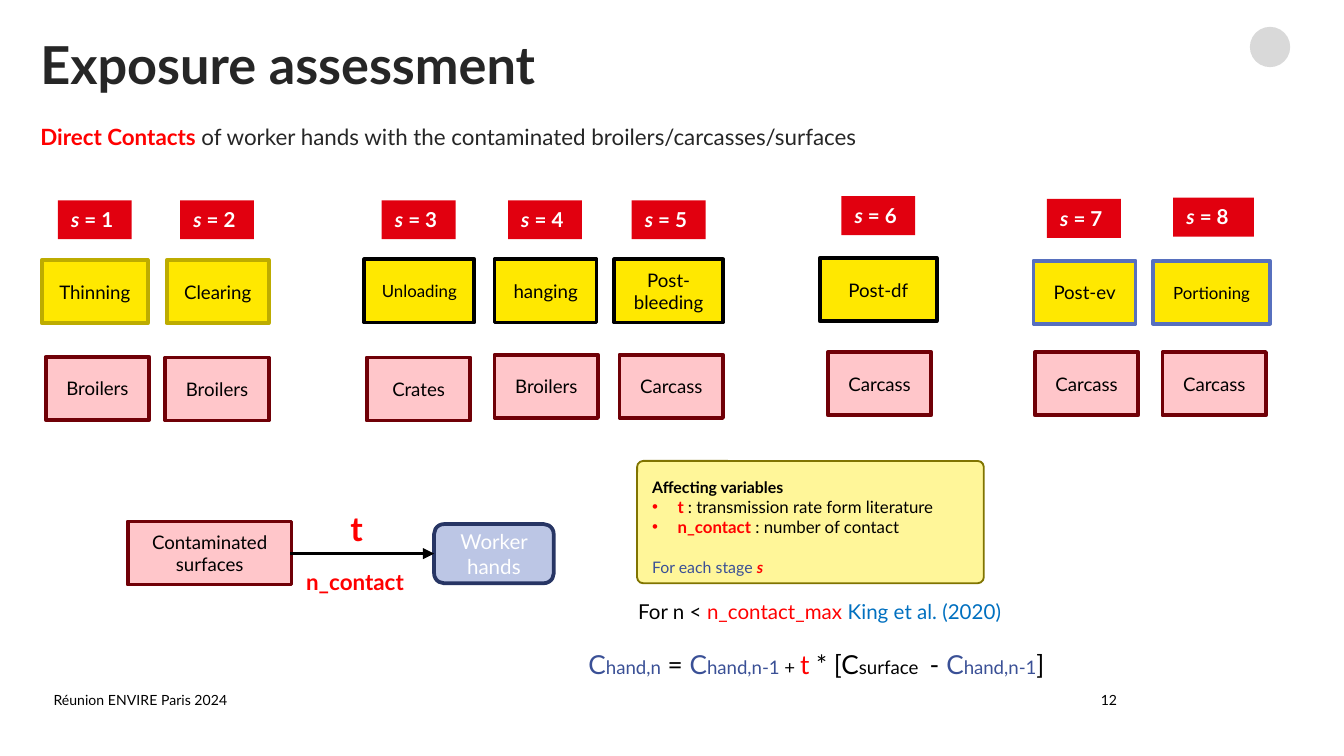
from dataclasses import dataclass
from typing import NamedTuple, Optional

from lxml import etree
from pptx import Presentation
from pptx import util as u
from pptx.dml.color import RGBColor
from pptx.enum import shapes, text
from pptx.oxml.ns import qn

BLACK = RGBColor(0x00, 0x00, 0x00)
WHITE = RGBColor(0xFF, 0xFF, 0xFF)
DARK = RGBColor(0x26, 0x26, 0x26)
GREY = RGBColor(0xD9, 0xD9, 0xD9)
RED = RGBColor(0xFF, 0x00, 0x00)
TAG = RGBColor(0xE1, 0x00, 0x0F)
PINK = RGBColor(0xFF, 0xC6, 0xCA)
MAROON = RGBColor(0x70, 0x00, 0x07)
YELLOW = RGBColor(0xFF, 0xE8, 0x00)
GOLD = RGBColor(0xBD, 0xAC, 0x00)
CREAM = RGBColor(0xFF, 0xF6, 0x99)
OLIVE = RGBColor(0x80, 0x74, 0x00)
BLUE = RGBColor(0x57, 0x70, 0xBE)
INK = RGBColor(0x3A, 0x50, 0x96)
CITE = RGBColor(0x00, 0x70, 0xC0)
PALE = RGBColor(0xBC, 0xC6, 0xE5)
NAVY = RGBColor(0x27, 0x35, 0x64)

FONT = "Lato"
CELL = u.Inches(0.1)
COLS, ROWS = 100, 56.25
LEFT, CENTER, RIGHT = text.PP_ALIGN.LEFT, text.PP_ALIGN.CENTER, text.PP_ALIGN.RIGHT
TOP, MIDDLE = text.MSO_ANCHOR.TOP, text.MSO_ANCHOR.MIDDLE
RECT = shapes.MSO_SHAPE.RECTANGLE
ROUND = shapes.MSO_SHAPE.ROUNDED_RECTANGLE


class Area(NamedTuple):
    col: float
    row: float
    wide: float
    high: float


class Run(NamedTuple):
    text: str
    size: float
    color: RGBColor = BLACK
    bold: bool = False
    slant: bool = False


@dataclass
class Para:
    runs: list[Run]
    align: text.PP_ALIGN = LEFT
    line: Optional[float] = None
    after: float = 0
    dot: bool = False


@dataclass
class Stage:
    tag: tuple[float, float]
    act: str
    box: tuple[float, float, float]
    edge: RGBColor
    kind: str
    base: tuple[float, float]
    size: float = 10
    wide: float = 5.5


STAGES = [
    Stage((4.3, 14.9), "Thinning", (3.1, 19.35, 7.9), GOLD, "Broilers", (3.4, 26.55)),
    Stage((13.4, 14.9), "Clearing", (12.4, 19.35, 7.6), GOLD, "Broilers", (12.3, 26.6)),
    Stage((28.4, 14.9), "Unloading", (27.1, 19.3, 8.2), BLACK, "Crates", (27.3, 26.6), 9),
    Stage((37.8, 14.9), "hanging", (36.8, 19.3, 7.6), BLACK, "Broilers", (36.8, 26.4)),
    Stage((47, 14.9), "Post-bleeding", (45.7, 19.3, 8.1), BLACK, "Carcass", (46.1, 26.4)),
    Stage((62.6, 14.6), "Post-df", (61, 19.2, 8.7), BLACK, "Carcass", (61.6, 26.2)),
    Stage((77.9, 14.8), "Post-ev", (76.9, 19.4, 7.6), BLUE, "Carcass", (77, 26.2)),
    Stage((87.3, 14.7), "Portioning", (85.8, 19.4, 8.7), BLUE, "Carcass", (86.5, 26.2), 9, 6),
]


def span(n: float) -> int:
    return round(n * CELL)


def write(frame, paras: list[Para], anchor=TOP, wrap: bool = True) -> None:
    frame.word_wrap = wrap
    frame.vertical_anchor = anchor
    for i, para in enumerate(paras):
        p = frame.add_paragraph() if i else frame.paragraphs[0]
        p.alignment = para.align
        p.space_before = u.Pt(0)
        p.space_after = u.Pt(para.after)
        if para.line:
            p.line_spacing = para.line
        if para.dot:
            props = p._p.get_or_add_pPr()
            props.set("marL", str(u.Inches(0.19)))
            props.set("indent", str(-u.Inches(0.19)))
            font = etree.SubElement(props, qn("a:buFont"))
            font.set("typeface", "Arial")
            etree.SubElement(props, qn("a:buChar")).set("char", "•")
        for part in para.runs:
            r = p.add_run()
            r.text = part.text
            r.font.name = FONT
            r.font.size = u.Pt(part.size)
            r.font.color.rgb = part.color
            r.font.bold = part.bold
            r.font.italic = part.slant


def label(slide, area: Area, paras: list[Para], wrap: bool = True):
    box = slide.shapes.add_textbox(*map(span, area))
    write(box.text_frame, paras, wrap=wrap)
    return box


def block(slide, area: Area, fill: RGBColor, paras: list[Para], edge: Optional[RGBColor] = None,
          form=RECT, weight: float = 2, anchor=MIDDLE):
    box = slide.shapes.add_shape(form, *map(span, area))
    box.shadow.inherit = False
    box.fill.solid()
    box.fill.fore_color.rgb = fill
    if edge is None:
        box.line.fill.background()
    else:
        box.line.color.rgb = edge
        box.line.width = u.Pt(weight)
    write(box.text_frame, paras, anchor)
    return box


def mid(words: str, size: float = 10, color: RGBColor = BLACK) -> list[Para]:
    return [Para([Run(words, size, color)], CENTER)]


def flush(frame) -> None:
    frame.margin_left = frame.margin_right = frame.margin_top = frame.margin_bottom = 0


def head(slide) -> None:
    title = slide.shapes.title
    title.left, title.top, title.width, title.height = map(span, Area(3, 2.9, 89.2, 7))
    write(title.text_frame, [Para([Run("Exposure assessment", 28, DARK, True)], line=0.9)])
    flush(title.text_frame)
    sub = label(slide, Area(3, 9.4, 89.2, 7), [Para([
        Run("Direct Contacts ", 12, RED, True),
        Run("of worker hands with the contaminated broilers/carcasses/surfaces", 12, DARK)], line=0.9)])
    flush(sub.text_frame)
    block(slide, Area(93, 2, 3, 3), GREY, [], form=shapes.MSO_SHAPE.OVAL)


def draw(slide, num: int, stage: Stage) -> None:
    block(slide, Area(*stage.tag, stage.wide, 2.9), TAG, [Para([
        Run("s", 11, WHITE, True, True), Run(f" = {num}", 11, WHITE, True)])], anchor=TOP)
    block(slide, Area(*stage.box, 4.7), YELLOW, mid(stage.act, stage.size), stage.edge)
    block(slide, Area(*stage.base, 7.7, 4.7), PINK, mid(stage.kind), MAROON)


def flow(slide) -> None:
    block(slide, Area(32.3, 39, 8.9, 4.4), PALE, mid("Worker hands", 11, WHITE), NAVY, ROUND)
    block(slide, Area(9.5, 38.8, 12.2, 4.7), PINK, mid("Contaminated surfaces"), MAROON)
    arrow = slide.shapes.add_connector(shapes.MSO_CONNECTOR.STRAIGHT,
                                       *map(span, (21.6, 41.2, 32.3, 41.2)))
    arrow.line.color.rgb = BLACK
    arrow.line.width = u.Pt(1.5)
    etree.SubElement(arrow.line._get_or_add_ln(), qn("a:tailEnd")).set("type", "triangle")
    etree.SubElement(arrow._element.spPr, qn("a:effectLst"))
    label(slide, Area(25.1, 37.3, 6.6, 4), [Para([Run("t", 18, RED, True)])])
    label(slide, Area(21.8, 41.8, 10.3, 3), [Para([Run("n_contact", 12, RED, True)])], False)


def model(slide) -> None:
    note = block(slide, Area(47.4, 34.3, 25.8, 9.1), CREAM, [
        Para([Run("Affecting variables", 8.5, bold=True)], line=1.5),
        Para([Run("t ", 9, RED, True), Run(": transmission rate form literature", 9)], dot=True),
        Para([Run("n_contact", 9, RED, True), Run(" : number of contact", 9)], after=10.8, dot=True),
        Para([Run("For each stage ", 8.5, INK), Run("s", 8.5, RED, True, True)]),
    ], OLIVE, ROUND, 1)
    note.adjustments[0] = 0.05
    label(slide, Area(41.3, 44.1, 39.4, 8.9), [
        Para([Run("For n < ", 11), Run("n_contact_max ", 11, RED),
              Run("King et al. (2020)", 11, CITE)], CENTER, after=13.2),
        Para([Run("C", 14, INK), Run("hand,n", 10, INK), Run(" = ", 14),
              Run("C", 14, INK), Run("hand,n-1", 10, INK), Run(" + ", 10),
              Run("t", 14, RED), Run(" * [C", 14), Run("surface ", 10), Run(" - ", 14),
              Run("C", 14, INK), Run("hand,n-1", 10, INK), Run("] ", 14)], CENTER),
    ])


def foot(slide) -> None:
    label(slide, Area(3, 51, 33.8, 2.3), [Para([Run("Réunion ENVIRE Paris 2024", 7.5)])])
    label(slide, Area(69.3, 51, 14.8, 2.3), [Para([Run("12", 7.5)], RIGHT)])


def main() -> None:
    deck = Presentation()
    deck.slide_width, deck.slide_height = span(COLS), span(ROWS)
    slide = deck.slides.add_slide(deck.slide_layouts[5])
    head(slide)
    for num, stage in enumerate(STAGES, 1):
        draw(slide, num, stage)
    foot(slide)
    model(slide)
    flow(slide)
    deck.save("out.pptx")


if __name__ == "__main__":
    main()
